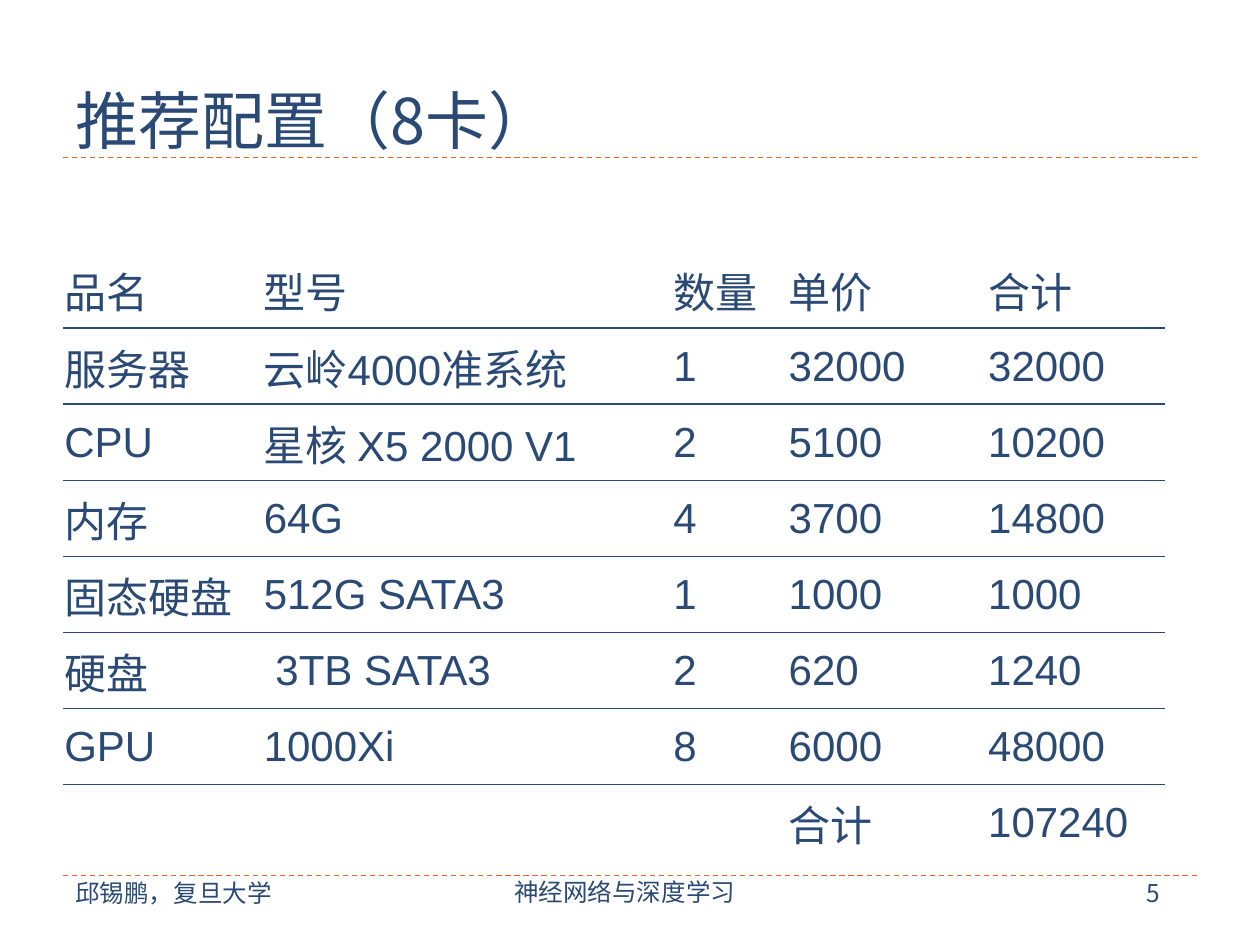
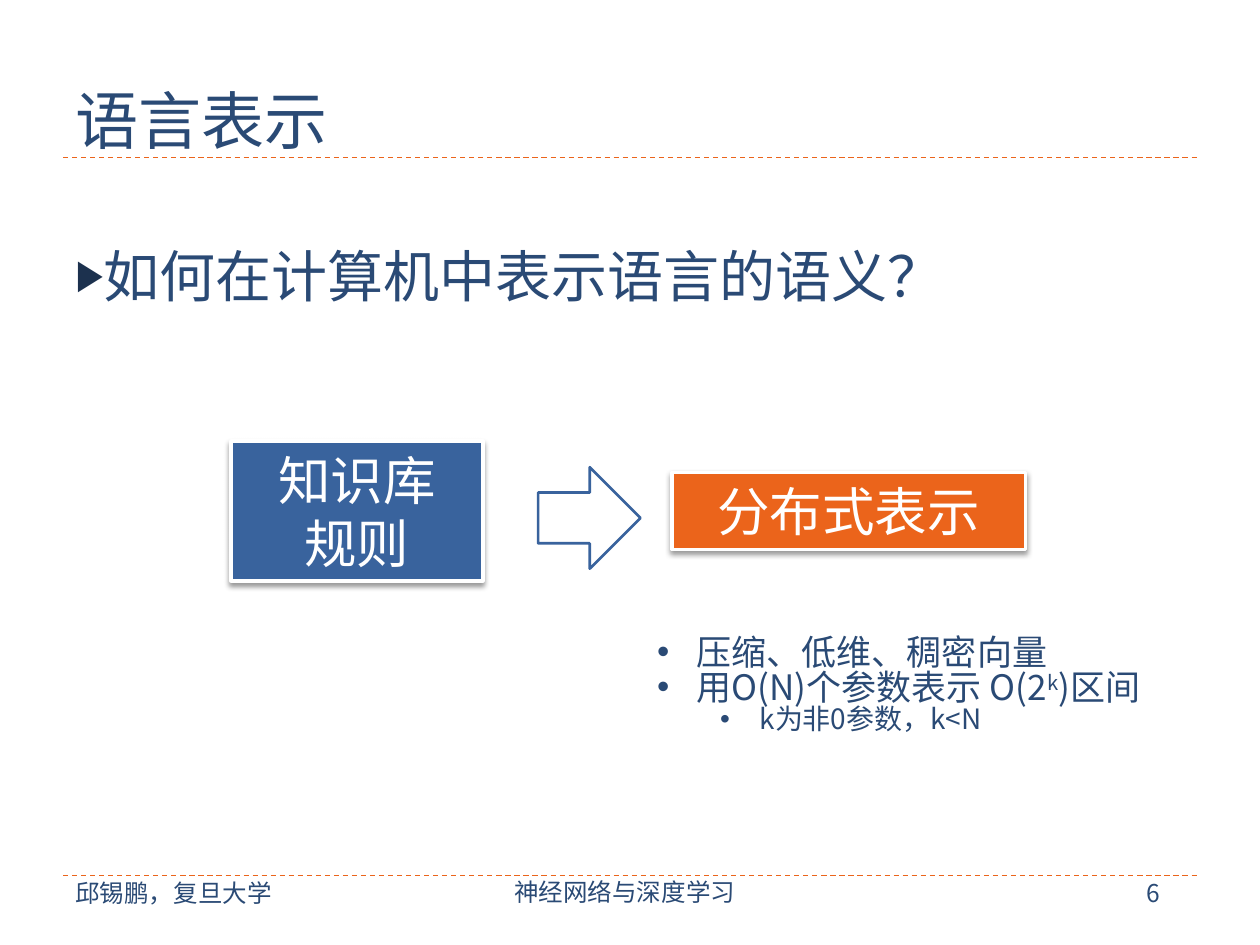
from dataclasses import dataclass

from lxml.etree import SubElement
from pptx import Presentation
from pptx.dml.color import RGBColor
from pptx.enum.dml import MSO_LINE
from pptx.enum.shapes import MSO_CONNECTOR, MSO_SHAPE
from pptx.enum.text import MSO_ANCHOR, MSO_AUTO_SIZE, PP_ALIGN
from pptx.oxml.ns import qn
from pptx.util import Pt


@dataclass(frozen=True)
class Theme:
    # Colours
    ink: str = "2A4A75"
    blue: str = "39639D"
    orange: str = "EB641B"
    marker: str = "1C314E"
    white: str = "FFFFFF"
    # Fonts
    sans: str = "Noto Sans CJK SC"
    latin: str = "Arial"
    # Type sizes
    title: int = 36
    body: int = 32
    box: int = 30
    table: int = 24
    note: int = 20
    subnote: int = 16
    footer: int = 14
    # Page frame
    left: int = 36
    width: int = 648
    title_rule: float = 90
    footer_rule: float = 500.4


class Deck:
    """Holds the style and the slide being built."""

    def __init__(self, theme, first_number):
        self.theme = theme
        self.number = first_number - 1
        self.presentation = Presentation()
        self.presentation.slide_width = Pt(720)
        self.presentation.slide_height = Pt(540)
        self.slide = None

    # Formatting helpers
    def style_runs(self, paragraph, size, color=None, font=None, east_asian=None):
        for run in paragraph.runs:
            run.font.size = Pt(size)
            run.font.name = font or self.theme.sans
            run.font.color.rgb = RGBColor.from_string(color or self.theme.ink)
            properties = run.font._element
            typeface = SubElement(properties, qn("a:ea"))
            typeface.set("typeface", east_asian or self.theme.sans)
            properties.find(qn("a:latin")).addnext(typeface)

    def bullet(self, paragraph, character, indent, hanging, color=None, percent=100):
        properties = paragraph._p.get_or_add_pPr()
        properties.set("marL", str(Pt(indent)))
        properties.set("indent", str(-Pt(hanging)))
        if color:
            fill = SubElement(properties, qn("a:buClr"))
            SubElement(fill, qn("a:srgbClr")).set("val", color)
        SubElement(properties, qn("a:buSzPct")).set("val", str(percent * 1000))
        SubElement(properties, qn("a:buFont")).set("typeface", self.theme.latin)
        SubElement(properties, qn("a:buChar")).set("char", character)

    def place(self, shape, left, top, width, height):
        shape.left, shape.top = Pt(left), Pt(top)
        shape.width, shape.height = Pt(width), Pt(height)

    # Slide frame
    def new_slide(self, title, layout):
        theme = self.theme
        self.number += 1
        layouts = self.presentation.slide_layouts
        self.slide = self.presentation.slides.add_slide(layouts.get_by_name(layout))
        for rule in (theme.title_rule, theme.footer_rule):
            self.dashed_rule(rule)
        footer_top = 501
        self.text(240, footer_top, 234, 29, "神经网络与深度学习", 0, PP_ALIGN.CENTER)
        self.text(theme.left, footer_top, 128, 24.5, "邱锡鹏，复旦大学", 1)
        self.text(theme.width, footer_top, 30, 24.5, str(self.number), 1)

        shape = self.slide.shapes.title
        self.place(shape, theme.left, 12, theme.width, 78)
        frame = shape.text_frame
        frame.text = title
        frame.auto_size = MSO_AUTO_SIZE.NONE
        frame.vertical_anchor = MSO_ANCHOR.BOTTOM
        frame.margin_bottom = 0
        frame.paragraphs[0].alignment = PP_ALIGN.LEFT
        self.style_runs(frame.paragraphs[0], theme.title)

    def dashed_rule(self, y):
        theme = self.theme
        line = self.slide.shapes.add_connector(
            MSO_CONNECTOR.STRAIGHT,
            Pt(theme.left), Pt(y), Pt(theme.left + theme.width), Pt(y))
        line.line.color.rgb = RGBColor.from_string(theme.orange)
        line.line.width = Pt(0.75)
        line.line.dash_style = MSO_LINE.DASH
        SubElement(line._element.spPr, qn("a:effectLst"))

    def text(self, left, top, width, height, words, margin_top, alignment=PP_ALIGN.LEFT):
        shape = self.slide.shapes.add_textbox(Pt(left), Pt(top), Pt(width), Pt(height))
        frame = shape.text_frame
        frame.word_wrap = True
        frame.margin_top = Pt(margin_top)
        frame.text = words
        frame.paragraphs[0].alignment = alignment
        self.style_runs(frame.paragraphs[0], self.theme.footer)

    # Body placeholder with one question
    def question(self, words):
        theme = self.theme
        shape = self.slide.placeholders[1]
        self.place(shape, theme.left, 96, theme.width, 389)
        frame = shape.text_frame
        frame.text = words
        frame.auto_size = MSO_AUTO_SIZE.NONE
        frame.margin_top = Pt(42)
        paragraph = frame.paragraphs[0]
        paragraph.space_before = Pt(0)
        self.bullet(paragraph, "▶", 16, 16, theme.marker, 76)
        self.style_runs(paragraph, theme.body)

    # Table with a rule under every row but the last
    def table(self, left, top, widths, row_height, rows):
        theme = self.theme
        frame = self.slide.shapes.add_table(
            len(rows), len(widths), Pt(left), Pt(top),
            Pt(sum(widths)), Pt(row_height * len(rows)))
        table = frame.table
        table.first_row = table.horz_banding = False
        no_grid = "{2D5ABB26-0587-4C30-8999-92F81FD0307C}"
        table._tbl.tblPr.find(qn("a:tableStyleId")).text = no_grid
        for column, width in zip(table.columns, widths):
            column.width = Pt(width)
        for row, values in zip(table.rows, rows):
            row.height = Pt(row_height)
            for cell, value in zip(row.cells, values):
                cell.margin_left = cell.margin_right = cell.margin_top = Pt(0.75)
                cell.margin_bottom = 0
                cell.vertical_anchor = MSO_ANCHOR.MIDDLE
                cell.text_frame.text = value
                self.style_runs(cell.text_frame.paragraphs[0], theme.table,
                                font=theme.latin)
                if values is not rows[-1]:
                    self.cell_rule(cell)
                cell.fill.background()

    def cell_rule(self, cell):
        border = SubElement(cell._tc.get_or_add_tcPr(), qn("a:lnB"))
        border.set("w", str(Pt(1)))
        fill = SubElement(border, qn("a:solidFill"))
        SubElement(fill, qn("a:srgbClr")).set("val", self.theme.ink)

    # Preset shapes
    def shape(self, kind, left, top, width, height, fill, line, line_width):
        shape = self.slide.shapes.add_shape(
            kind, Pt(left), Pt(top), Pt(width), Pt(height))
        shape.shadow.inherit = False
        shape.fill.solid()
        shape.fill.fore_color.rgb = RGBColor.from_string(fill)
        shape.line.color.rgb = RGBColor.from_string(line)
        shape.line.width = Pt(line_width)
        return shape

    def box(self, left, top, width, height, fill, lines):
        theme = self.theme
        shape = self.shape(MSO_SHAPE.RECTANGLE, left, top, width, height,
                           fill, theme.white, 2)
        self.drop_shadow(shape)
        frame = shape.text_frame
        frame.text = "\n".join(lines)
        for paragraph in frame.paragraphs:
            paragraph.alignment = PP_ALIGN.CENTER
            self.style_runs(paragraph, theme.box, theme.white, theme.latin, theme.latin)

    def drop_shadow(self, shape):
        effects = shape._element.spPr.find(qn("a:effectLst"))
        shadow = SubElement(effects, qn("a:outerShdw"), blurRad=str(Pt(3)),
                            dist=str(Pt(2)), dir="5400000", rotWithShape="0")
        color = SubElement(shadow, qn("a:srgbClr"), val="000000")
        SubElement(color, qn("a:alpha"), val="40000")

    # Bulleted notes: (level, [(words, raised), ...])
    def notes(self, left, top, width, height, items):
        theme = self.theme
        shape = self.slide.shapes.add_textbox(Pt(left), Pt(top), Pt(width), Pt(height))
        frame = shape.text_frame
        frame.word_wrap = True
        for index, (level, pieces) in enumerate(items):
            paragraph = frame.add_paragraph() if index else frame.paragraphs[0]
            paragraph.level = level
            paragraph.line_spacing = 0.83
            self.bullet(paragraph, "•", 22.5 + 36 * level, 22.5)
            for words, raised in pieces:
                run = paragraph.add_run()
                run.text = words
                if raised:
                    run.font._element.set("baseline", "30000")
            self.style_runs(paragraph, theme.subnote if level else theme.note)

    def save(self):
        self.presentation.save("out.pptx")


theme = Theme()
deck = Deck(theme, first_number=5)

# Slide 5: recommended hardware
deck.new_slide("推荐配置（8卡）", "Title Only")
deck.table(theme.left, 144, [114, 234, 66, 114, 102], 43.5, [
    ["品名", "型号", "数量", "单价", "合计"],
    ["服务器", "云岭4000准系统", "1", "32000", "32000"],
    ["CPU", "星核 X5 2000 V1", "2", "5100", "10200"],
    ["内存", "64G", "4", "3700", "14800"],
    ["固态硬盘", "512G SATA3", "1", "1000", "1000"],
    ["硬盘", " 3TB SATA3", "2", "620", "1240"],
    ["GPU", "1000Xi", "8", "6000", "48000"],
    ["", "", "", "合计", "107240"],
])

# Slide 6: representing language
deck.new_slide("语言表示", "Title and Content")
deck.question("如何在计算机中表示语言的语义？")
deck.box(132, 252, 144, 80, theme.blue, ["知识库", "规则"])
deck.box(384, 270, 202, 44, theme.orange, ["分布式表示"])
deck.shape(MSO_SHAPE.RIGHT_ARROW, 307.5, 267, 58.5, 58, theme.white, theme.blue, 1.5)
deck.notes(368.5, 361, 315.5, 78, [
    (0, [("压缩、低维、稠密向量", False)]),
    (0, [("用O(N)个参数表示 O(2", False), ("k", True), (")区间", False)]),
    (1, [("k为非0参数，k<N", False)]),
])

deck.save()
